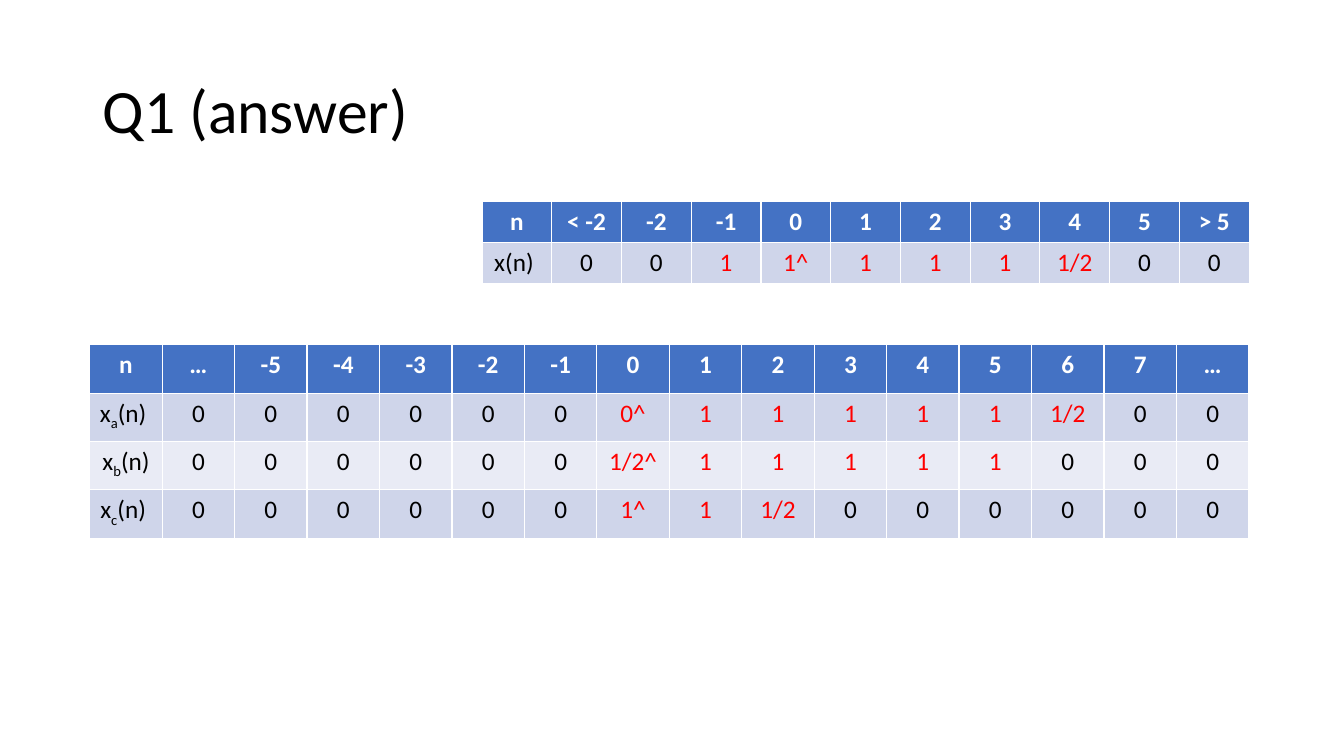
import pptx
import pptx.dml.color
import pptx.enum.text
import pptx.util

PX = 9144
FONT = "Calibri"
HEADER_FILL, BAND_FILLS = "4472C4", ("CFD5EA", "E9EBF5")
BLACK, WHITE, RED = "000000", "FFFFFF", "FF0000"

SIGNAL = [
    ["n", "< -2", "-2", "-1", "0", "1", "2", "3", "4", "5", "> 5"],
    ["x(n) ", "0", "0", "1", "1^", "1", "1", "1", "1/2", "0", "0"],
]
ANSWERS = [
    ["n", "…", *map(str, range(-5, 8)), "…"],
    [("x", "a", "(n) "), *["0"] * 6, "0^", *["1"] * 5, "1/2", "0", "0"],
    [("x", "b", "(n) "), *["0"] * 6, "1/2^", *["1"] * 5, *["0"] * 3],
    [("x", "c", "(n) "), *["0"] * 6, "1^", "1", "1/2", *["0"] * 6],
]


def px(length):
    """Turn px into EMU."""
    return pptx.util.Emu(round(length * PX))


def rgb(code):
    """Turn a hex string into a colour."""
    return pptx.dml.color.RGBColor.from_string(code)


def format_runs(paragraph, size, color, bold=False):
    """Give every run of a paragraph the same font."""
    for run in paragraph.runs:
        run.font.name = FONT
        run.font.size = pptx.util.Pt(size)
        run.font.bold = bold
        run.font.color.rgb = rgb(color)


def write_label(paragraph, label):
    """Write plain text, or a (base, subscript, rest) label."""
    if isinstance(label, str):
        paragraph.text = label
        return
    base, subscript, rest = (paragraph.add_run() for _ in label)
    base.text, subscript.text, rest.text = label
    subscript._r.get_or_add_rPr().set("baseline", "-25000")


def add_title(slide, heading, left, top, width, height):
    """Place the heading in the title placeholder."""
    title = slide.shapes.title
    title.left, title.top = px(left), px(top)
    title.width, title.height = px(width), px(height)
    frame = title.text_frame
    frame.text = heading
    frame.word_wrap = True
    frame.vertical_anchor = pptx.enum.text.MSO_ANCHOR.MIDDLE
    paragraph = frame.paragraphs[0]
    paragraph.alignment = pptx.enum.text.PP_ALIGN.LEFT
    paragraph.line_spacing = 0.9
    format_runs(paragraph, 44, BLACK)


def add_sequence_table(slide, rows, left, top, width, height):
    """Fill the box with a table, its non-zero samples in red."""
    table = slide.shapes.add_table(
        len(rows), len(rows[0]), px(left), px(top), px(width), px(height)
    ).table
    for column in table.columns:
        column.width = px(width / len(rows[0]))
    for row_index, row in enumerate(rows):
        table.rows[row_index].height = px(height / len(rows))
        is_header = row_index == 0
        fill = HEADER_FILL if is_header else BAND_FILLS[(row_index - 1) % 2]
        for column_index, value in enumerate(row):
            cell = table.cell(row_index, column_index)
            cell.fill.solid()
            cell.fill.fore_color.rgb = rgb(fill)
            paragraph = cell.text_frame.paragraphs[0]
            write_label(paragraph, value)
            paragraph.alignment = pptx.enum.text.PP_ALIGN.CENTER
            is_sample = column_index > 0 and value != "0"
            color = WHITE if is_header else RED if is_sample else BLACK
            format_runs(paragraph, 18, color, is_header)


def main():
    """Build the answer slide and save it."""
    deck = pptx.Presentation()
    deck.slide_width, deck.slide_height = px(1333), px(750)
    slide = deck.slides.add_slide(deck.slide_layouts[5])
    add_title(slide, "Q1 (answer)", 92, 40, 1150, 145)
    add_sequence_table(slide, SIGNAL, 478, 200, 761, 81)
    add_sequence_table(slide, ANSWERS, 89, 342, 1150, 192)
    deck.save("out.pptx")


if __name__ == "__main__":
    main()
